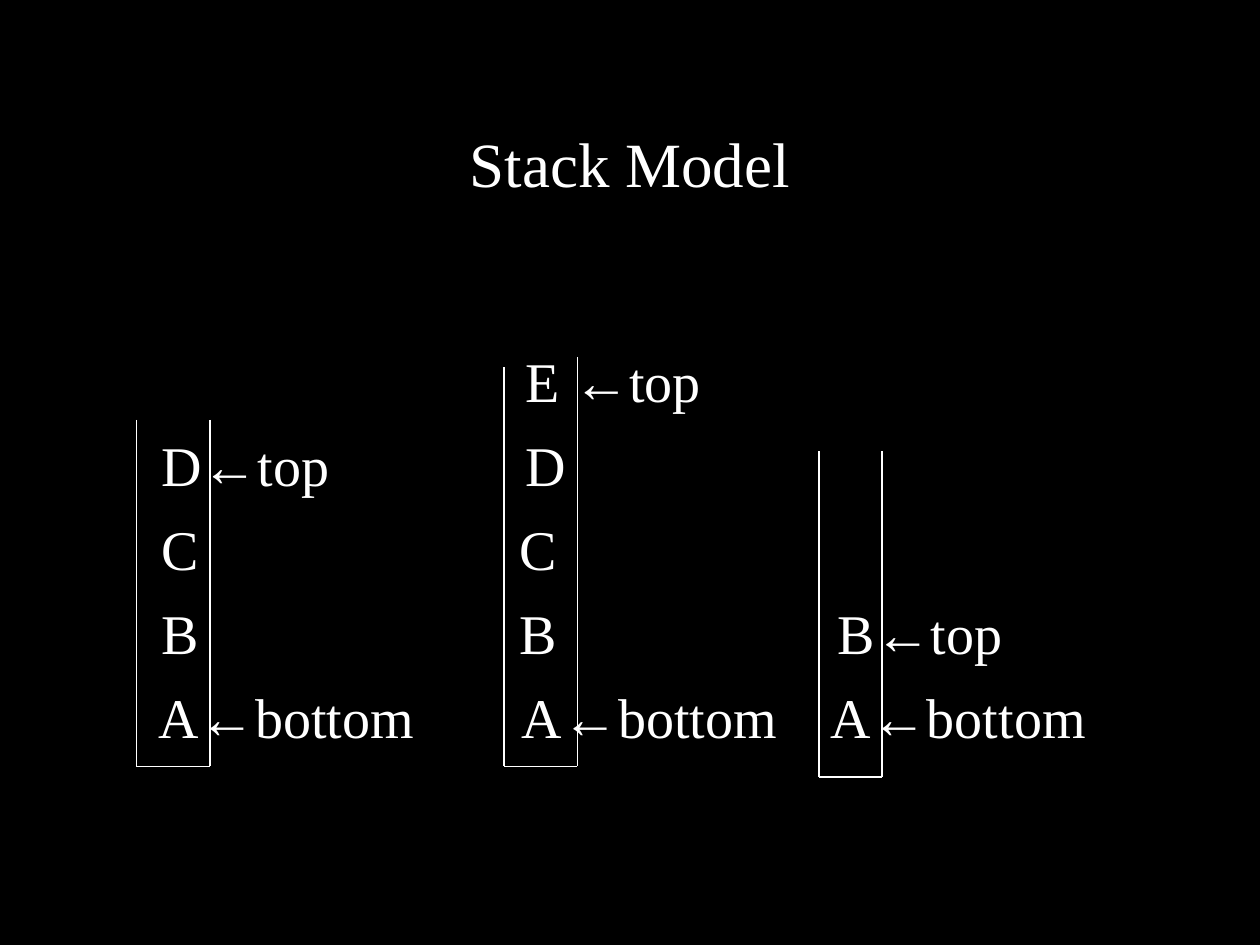
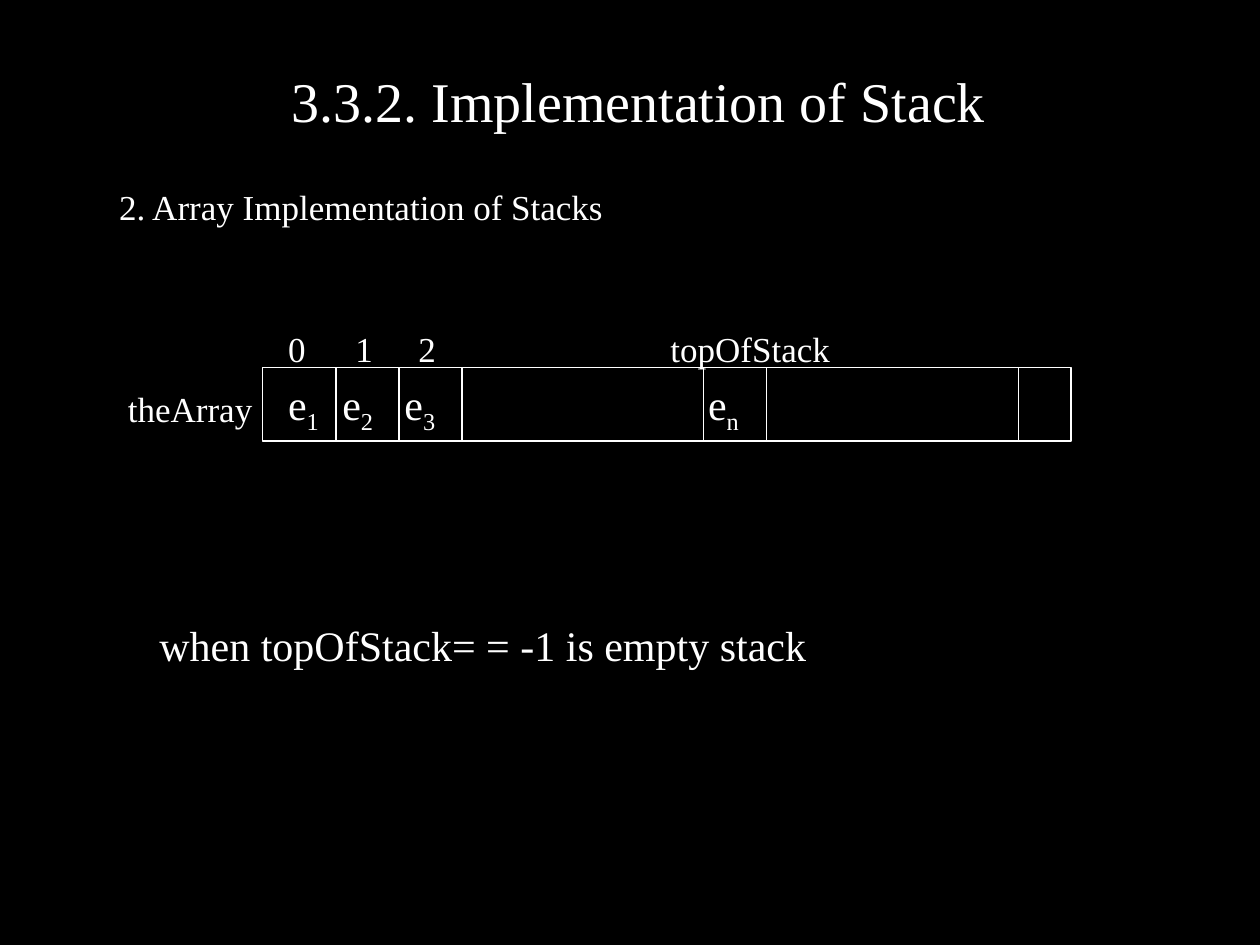
from lxml.etree import SubElement
from pptx import Presentation
from pptx.dml.color import RGBColor
from pptx.enum.shapes import MSO_CONNECTOR, MSO_SHAPE
from pptx.enum.text import MSO_ANCHOR, PP_ALIGN
from pptx.oxml.ns import qn
from pptx.util import Pt

BLACK = RGBColor(0x00, 0x00, 0x00)
WHITE = RGBColor(0xFF, 0xFF, 0xFF)
FONT = "Times New Roman"
ARROW = "←"
ARROW_FONT = "Arial"


def add_text(s, box, size, rows, gap=0):
    sp = s.shapes.add_textbox(*[Pt(v) for v in box])
    tf = sp.text_frame
    tf.word_wrap = True
    for i, (tabs, runs) in enumerate(rows):
        p = tf.paragraphs[0] if i == 0 else tf.add_paragraph()
        p.space_before = Pt(gap if i else 0)
        if tabs:
            tab_list = SubElement(p._p.get_or_add_pPr(), qn("a:tabLst"))
            for x in tabs:
                SubElement(tab_list, qn("a:tab"), pos=str(Pt(x)), algn="l")
        p.font.name = FONT
        p.font.size = Pt(size)
        p.font.color.rgb = WHITE
        for text in runs:
            r = p.add_run()
            r.text = text
            if text == ARROW:
                r.font.name = ARROW_FONT
    return tf


def add_line(s, x1, y1, x2, y2):
    cn = s.shapes.add_connector(MSO_CONNECTOR.STRAIGHT, Pt(x1), Pt(y1), Pt(x2), Pt(y2))
    cn.line.color.rgb = WHITE
    cn.line.width = Pt(0.75)
    SubElement(cn._element.spPr, qn("a:effectLst"))


prs = Presentation()
prs.slide_width = Pt(720)
prs.slide_height = Pt(540)

titles = [
    ("Stack Model", (54, 48, 612, 90), 36),
    ("3.3.2. Implementation of Stack", (50, 18, 630, 78), 32),
]
slides = []
for title, box, size in titles:
    s = prs.slides.add_slide(prs.slide_layouts[6])
    s.background.fill.solid()
    s.background.fill.fore_color.rgb = BLACK
    tf = add_text(s, box, size, [([], [title])])
    tf.vertical_anchor = MSO_ANCHOR.MIDDLE
    tf.paragraphs[0].alignment = PP_ALIGN.CENTER
    slides.append(s)
model, array = slides

stack_rows = [
    ([239], ["\tE ", ARROW, "top"]),
    ([31, 239], ["\tD", ARROW, "top", "\tD"]),
    ([31, 236], ["\tC\tC"]),
    ([31, 236, 417.5], ["\tB\tB\tB", ARROW, "top"]),
    ([29.5, 237, 413.5],
     ["\tA", ARROW, "bottom", "\tA", ARROW, "bottom", "\tA", ARROW, "bottom"]),
]
add_text(model, (54, 194.3, 612, 273.7), 32, stack_rows, gap=9.6)

stacks = [
    (78, 120, 240, 240, 438),
    (288, 330, 210, 204, 438),
    (468, 504, 258, 258, 444),
]
for left, right, left_top, right_top, bottom in stacks:
    add_line(model, left, left_top, left, bottom)
    add_line(model, right, right_top, right, bottom)
    add_line(model, left, bottom, right, bottom)

add_text(array, (61, 102.5, 605, 40), 20, [([], ["2. Array Implementation of Stacks"])])

array_top, array_height = 210, 42
sp = array.shapes.add_shape(
    MSO_SHAPE.RECTANGLE, Pt(150), Pt(array_top), Pt(462), Pt(array_height))
sp.shadow.inherit = False
sp.fill.background()
sp.line.color.rgb = WHITE
sp.line.width = Pt(0.75)
for x in (192, 228, 264, 402, 438, 582):
    add_line(array, x, array_top, x, array_top + array_height)

add_text(array, (66, 218, 102, 31), 20, [([], ["theArray"])])
add_text(array, (144, 183.7, 528, 31), 20,
         [([13.5, 52, 88, 232], ["\t0\t1\t2\ttopOfStack"])])
tf = add_text(array, (157.5, 212.7, 273, 40), 24,
              [([31, 66.5, 240], ["e", "1", "\te", "2", "\te", "3", "\te", "n"])])
for r in tf.paragraphs[0].runs[1::2]:
    r._r.get_or_add_rPr().set("baseline", "-25000")
add_text(array, (84, 350.4, 468, 80), 24,
         [([], ["when topOfStack= = -1 is empty stack"])])

prs.save("out.pptx")
